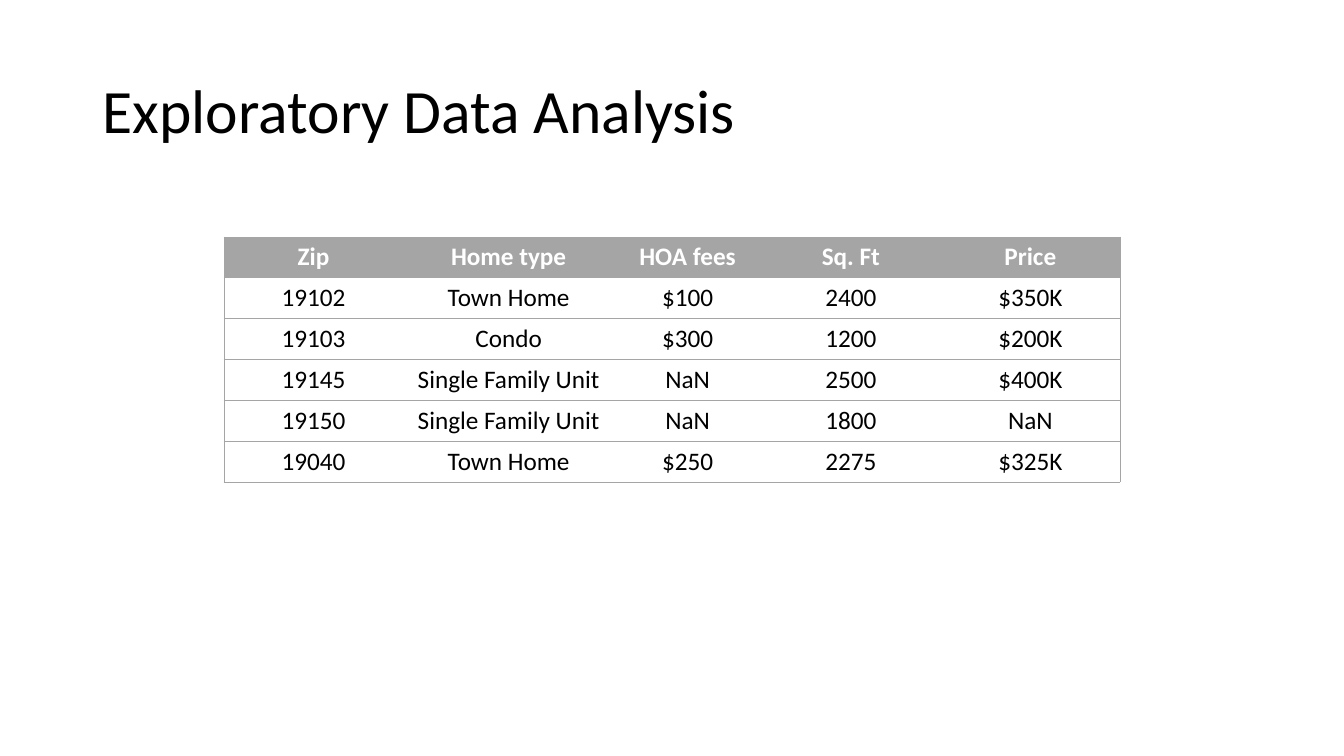
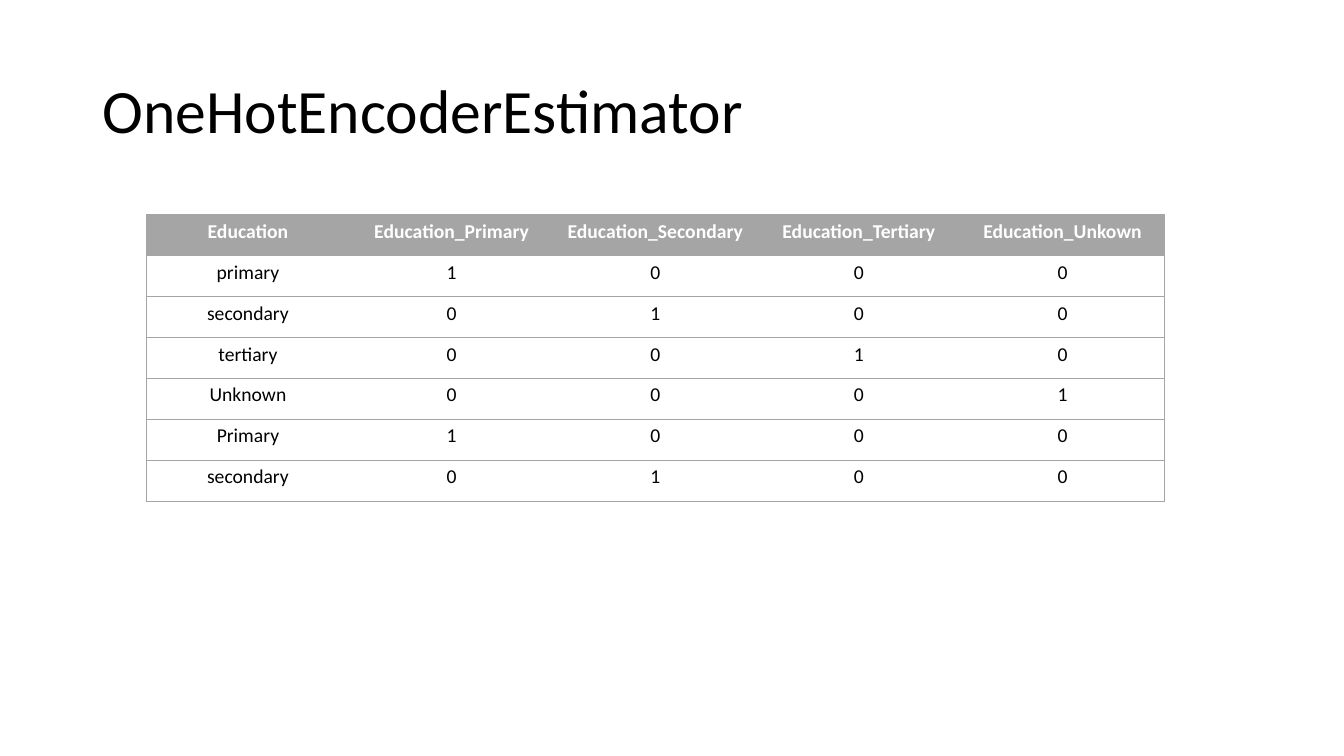
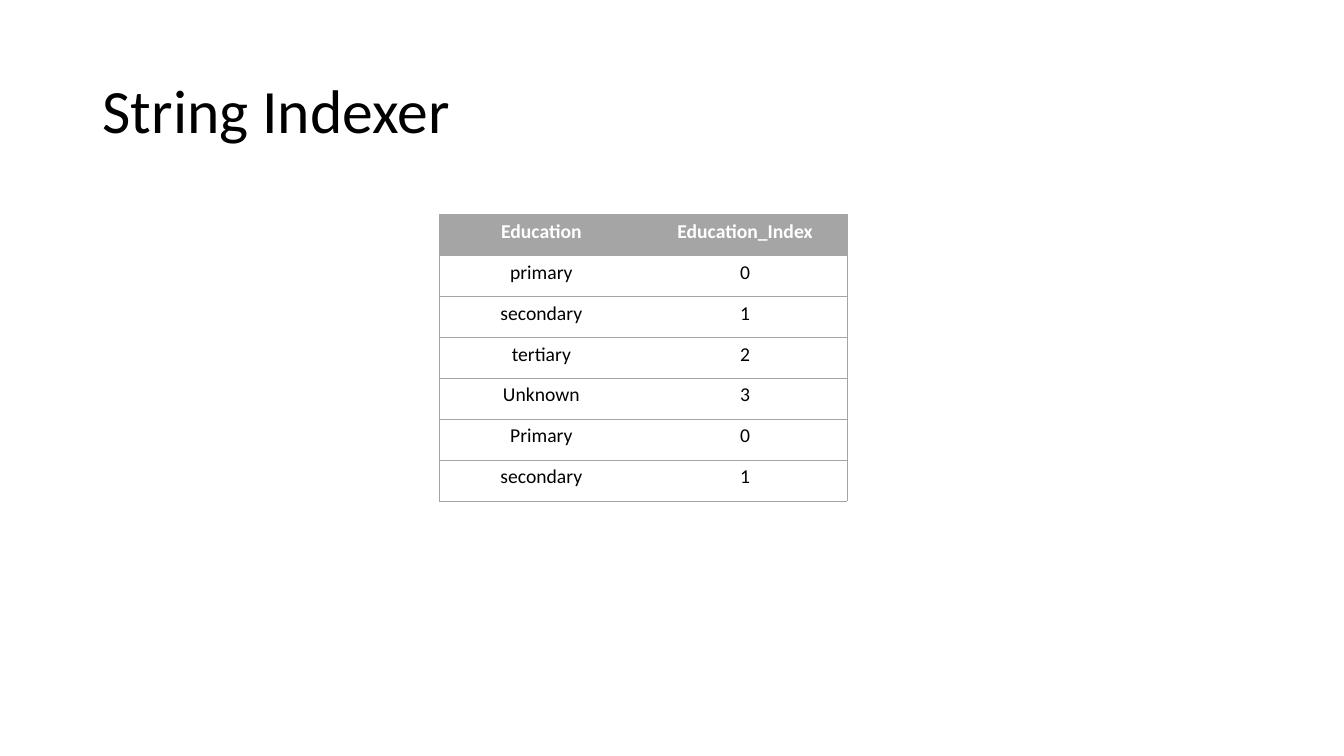
"""Build three slides, each with a title and a ruled data table."""
import pptx
import pptx.dml.color
import pptx.enum.text
import pptx.oxml.ns
import pptx.util
from lxml import etree

COLOURS = {"rule": "A5A5A5", "header": "FFFFFF", "body": "000000", "paper": "FFFFFF"}
FONT = "Calibri"
SLIDE_SIZE = (13.33, 7.5)
TITLE_AREA = (0.92, 0.4, 11.5, 1.45)
ROW_HEIGHT = 2.84 / 7
RULE_WIDTH = 0.5

LEVELS = ["primary", "secondary", "tertiary", "Unknown", "Primary", "secondary"]
INDEXES = [0, 1, 2, 3, 0, 1]

SLIDES = [
    {
        "title": "Exploratory Data Analysis",
        "corner": (2.22, 2.35),
        "columns": [1.78, 2.09, 1.46, 1.78, 1.78],
        "size": 18,
        "rows": [
            ("Zip", "Home type", "HOA fees", "Sq. Ft", "Price"),
            ("19102", "Town Home", "$100", "2400", "$350K"),
            ("19103", "Condo", "$300", "1200", "$200K"),
            ("19145", "Single Family Unit", "NaN", "2500", "$400K"),
            ("19150", "Single Family Unit", "NaN", "1800", "NaN"),
            ("19040", "Town Home", "$250", "2275", "$325K"),
        ],
    },
    {
        "title": "OneHotEncoderEstimator",
        "corner": (1.45, 2.13),
        "columns": [2.02] * 5,
        "size": 14,
        "rows": [
            ("Education", "Education_Primary", "Education_Secondary",
             "Education_Tertiary", "Education_Unkown"),
            *((level, *(str(int(index == place)) for place in range(4)))
              for level, index in zip(LEVELS, INDEXES)),
        ],
    },
    {
        "title": "String Indexer",
        "corner": (4.36, 2.13),
        "columns": [2.02] * 2,
        "size": 14,
        "rows": [
            ("Education", "Education_Index"),
            *((level, str(index)) for level, index in zip(LEVELS, INDEXES)),
        ],
    },
]


def rgb(name):
    """Return the named colour."""
    return pptx.dml.color.RGBColor.from_string(COLOURS[name])


def write(frame, text, size, colour="body", bold=False, align="LEFT", spacing=1.0):
    """Put one formatted paragraph in a text frame."""
    paragraph = frame.paragraphs[0]
    paragraph.alignment = getattr(pptx.enum.text.PP_ALIGN, align)
    paragraph.line_spacing = spacing
    run = paragraph.add_run()
    run.text = text
    run.font.name = FONT
    run.font.size = pptx.util.Pt(size)
    run.font.bold = bold
    run.font.color.rgb = rgb(colour)


def rule_cell(cell, ruled_edges):
    """Draw the given cell edges and clear the others."""
    properties = cell._tc.get_or_add_tcPr()
    qn = pptx.oxml.ns.qn
    for edge in "LRTB":
        line = etree.SubElement(properties, qn(f"a:ln{edge}"),
                                w=str(pptx.util.Pt(RULE_WIDTH)))
        if edge in ruled_edges:
            fill = etree.SubElement(line, qn("a:solidFill"))
            etree.SubElement(fill, qn("a:srgbClr"), val=COLOURS["rule"])
        else:
            etree.SubElement(line, qn("a:noFill"))


def add_title(slide, title):
    """Add the slide title."""
    box = slide.shapes.add_textbox(*map(pptx.util.Inches, TITLE_AREA))
    box.text_frame.word_wrap = True
    box.text_frame.vertical_anchor = pptx.enum.text.MSO_ANCHOR.MIDDLE
    write(box.text_frame, title, 44, spacing=0.9)


def add_data(slide, corner, columns, size, rows):
    """Add a table with a filled header and horizontal rules."""
    area = (*corner, sum(columns), ROW_HEIGHT * len(rows))
    table = slide.shapes.add_table(
        len(rows), len(columns), *map(pptx.util.Inches, area)).table
    table.horz_banding = False
    for column, width in zip(table.columns, columns):
        column.width = pptx.util.Inches(width)
    for row_number, row in enumerate(rows):
        is_header = row_number == 0
        for column_number, text in enumerate(row):
            cell = table.cell(row_number, column_number)
            edges = "TB"
            if column_number == 0:
                edges += "L"
            if column_number == len(columns) - 1:
                edges += "R"
            rule_cell(cell, edges)
            cell.fill.solid()
            cell.fill.fore_color.rgb = rgb("rule" if is_header else "paper")
            write(cell.text_frame, text, size, bold=is_header, align="CENTER",
                  colour="header" if is_header else "body")


def main():
    """Build and save the presentation."""
    deck = pptx.Presentation()
    deck.slide_width, deck.slide_height = map(pptx.util.Inches, SLIDE_SIZE)
    for content in SLIDES:
        slide = deck.slides.add_slide(deck.slide_layouts[6])
        add_data(slide, content["corner"], content["columns"],
                 content["size"], content["rows"])
        add_title(slide, content["title"])
    deck.save("out.pptx")


if __name__ == "__main__":
    main()
